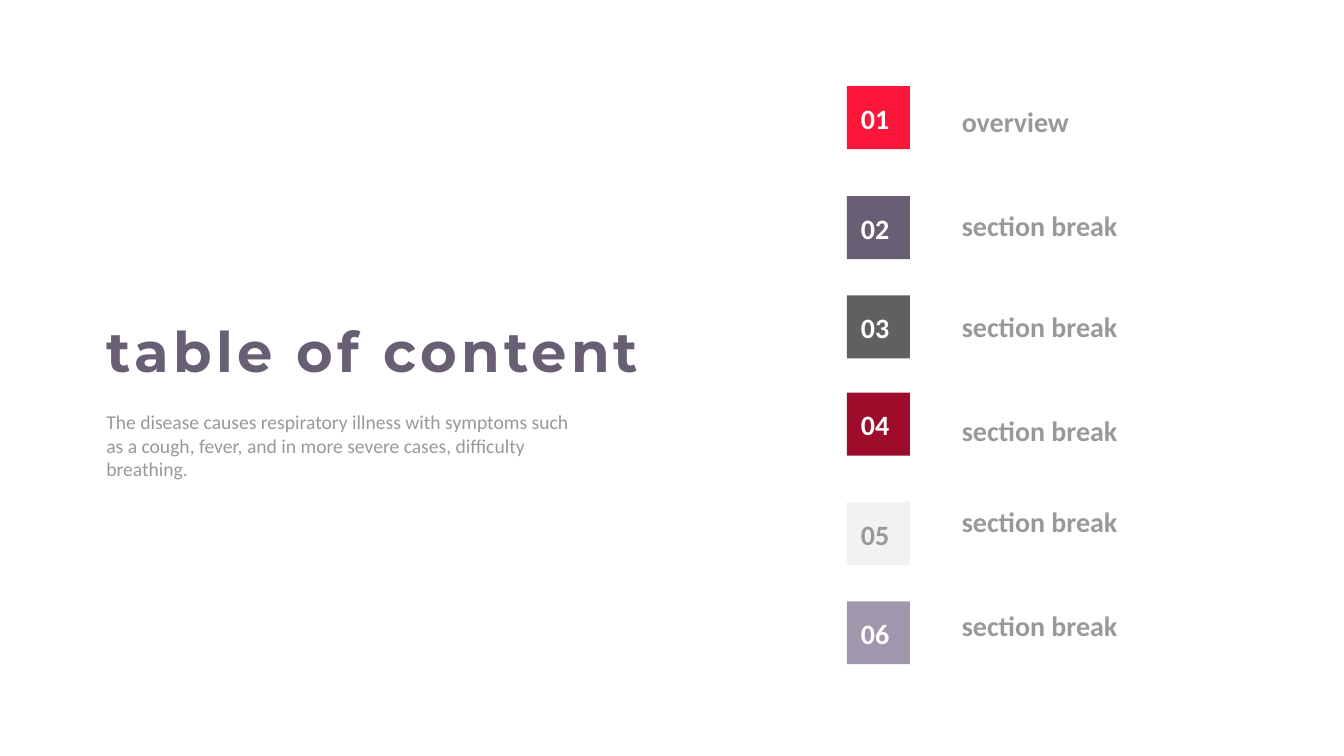
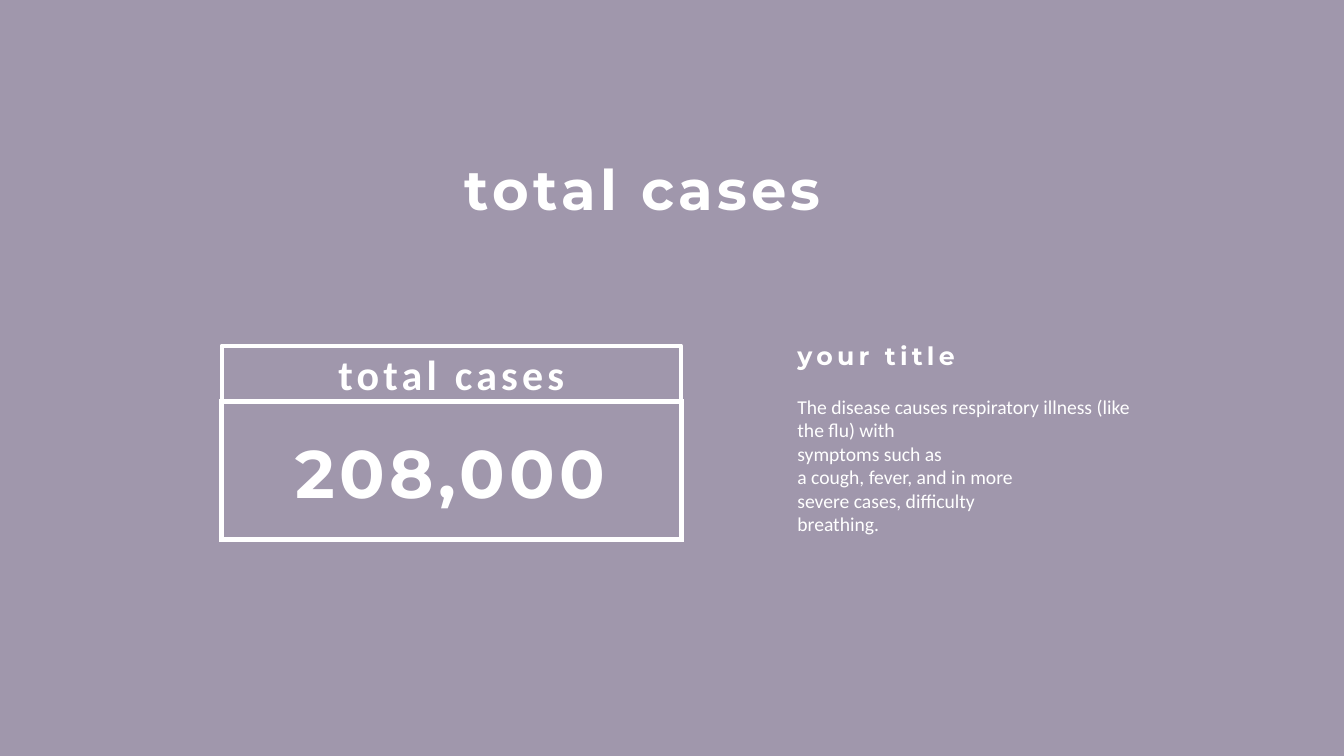
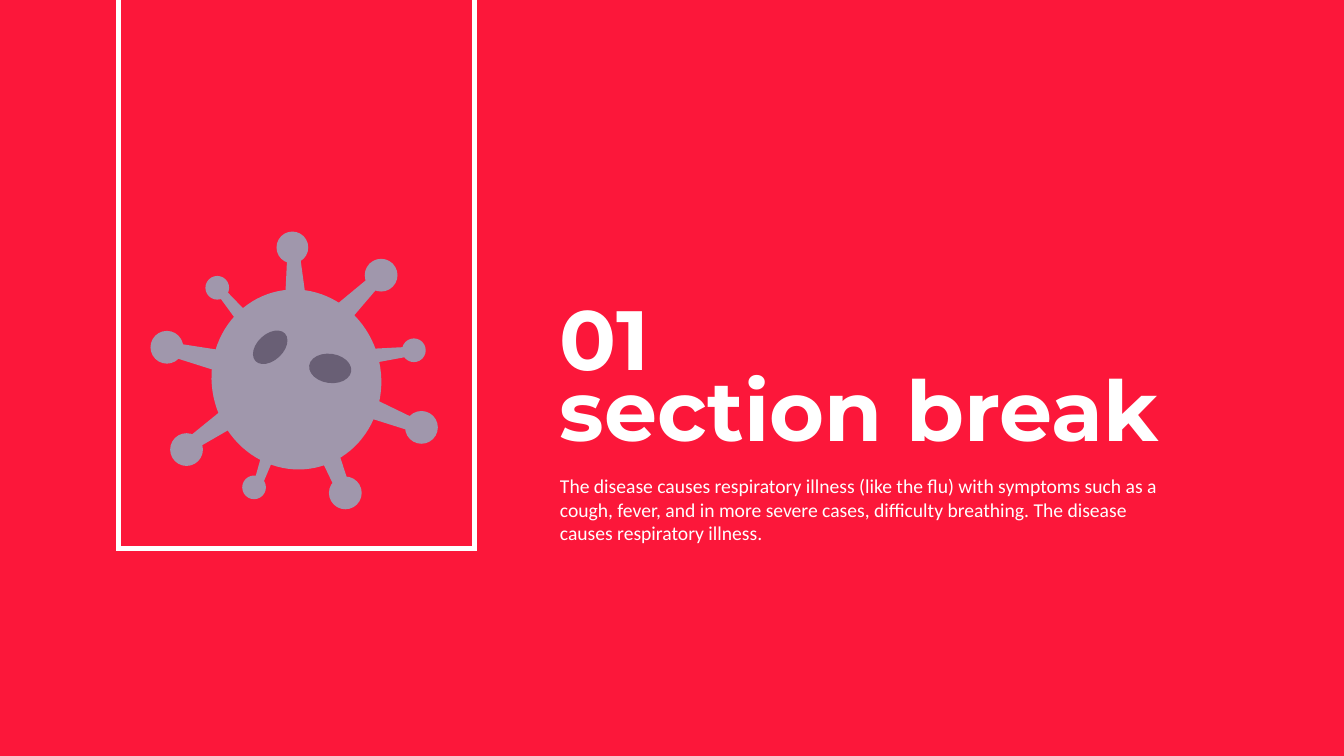
from dataclasses import dataclass

from lxml.etree import SubElement
from pptx import Presentation
from pptx.dml.color import RGBColor as Color
from pptx.enum.shapes import MSO_SHAPE as Preset
from pptx.enum.text import MSO_ANCHOR as Anchor, MSO_AUTO_SIZE as AutoSize, PP_ALIGN as Align
from pptx.oxml.ns import qn
from pptx.util import Inches, Pt


@dataclass(frozen=True)
class Theme:
    red: str = "FC173A"
    plum: str = "695F75"
    charcoal: str = "625F5F"
    crimson: str = "9D0C2B"
    pale: str = "F3F2F2"
    lilac: str = "A097AC"
    gray: str = "999999"
    white: str = "FFFFFF"
    heading: str = "Montserrat"
    body: str = "Calibri"
    tracking: int = 600


theme = Theme()
STYLES = {
    "title": {"name": theme.heading, "size": Pt(80), "bold": True},
    "section": {"name": theme.heading, "size": Pt(120), "bold": True},
    "figure": {"name": theme.heading, "size": Pt(96), "bold": True},
    "subtitle": {"name": theme.heading, "size": Pt(36), "bold": True},
    "caption": {"name": theme.body, "size": Pt(60), "bold": True},
    "label": {"name": theme.body, "size": Pt(40), "bold": True},
    "text": {"name": theme.body, "size": Pt(28), "bold": False},
}
TRACKED = {"title", "figure", "subtitle", "caption"}


def add_block(shapes, preset, box, fill=None, line_width=None, sharp=False):
    """Add a preset shape, filled or outlined in white, with sharp corners on request."""
    shape = shapes.add_shape(preset, *map(Inches, box))
    shape.shadow.inherit = False
    if fill:
        shape.fill.solid()
        shape.fill.fore_color.rgb = Color.from_string(fill)
    else:
        shape.fill.background()
    if line_width:
        shape.line.color.rgb = Color.from_string(theme.white)
        shape.line.width = Pt(line_width)
    else:
        shape.line.fill.background()
    if sharp:
        SubElement(shape._element.spPr.find(qn("a:ln")), qn("a:miter"), lim="800000")
    return shape


def add_text(slide, box, lines, style, color=theme.white, align=Align.LEFT, gaps=None, shape=None):
    """Write lines in a new text box, or in the given shape."""
    frame = (shape or slide.shapes.add_textbox(*map(Inches, box))).text_frame
    frame.word_wrap = True
    frame.auto_size = AutoSize.NONE if shape else AutoSize.SHAPE_TO_FIT_TEXT
    frame.vertical_anchor = Anchor.MIDDLE if shape else Anchor.TOP
    for index, line in enumerate(lines):
        paragraph = frame.paragraphs[0] if index == 0 else frame.add_paragraph()
        paragraph.alignment = align
        if gaps and index:
            paragraph.space_before = Pt(gaps[index - 1])
        run = paragraph.add_run()
        run.text = line
        for name, value in STYLES[style].items():
            setattr(run.font, name, value)
        run.font.color.rgb = Color.from_string(color)
        if style in TRACKED:
            run.font._element.set("spc", str(theme.tracking))


WIDTH, HEIGHT = 26.66, 15
presentation = Presentation()
presentation.slide_width, presentation.slide_height = Inches(WIDTH), Inches(HEIGHT)

# Three slides, the last two with a coloured panel
slides = []
for panel in (None, theme.lilac, theme.red):
    slide = presentation.slides.add_slide(presentation.slide_layouts[6])
    if panel:
        add_block(slide.shapes, Preset.RECTANGLE, (0, 0, WIDTH, HEIGHT), panel)
    slides.append(slide)
contents, cases, section = slides

# Contents: title, section names, numbered squares
add_text(contents, (2.01, 6.23, 11.36, 1.45), ["table of content"], "title", theme.plum)
add_text(contents, (18.98, 2.03, 6.79, 11.34), ["overview"] + ["section break"] * 5, "label",
         theme.gray, gaps=[99.5, 97.5, 99.5, 83, 99.5])
badges = [
    (1.71, theme.red, theme.white),
    (3.89, theme.plum, theme.white),
    (5.86, theme.charcoal, theme.white),
    (7.79, theme.crimson, theme.white),
    (9.96, theme.pale, theme.gray),
    (11.93, theme.lilac, theme.white),
]
BADGE = 1.25
for number, (top, fill, color) in enumerate(badges, 1):
    add_block(contents.shapes, Preset.RECTANGLE, (16.8, top, BADGE, BADGE), fill)
    add_text(contents, (16.98, top + 0.25, BADGE, BADGE), [f"{number:02}"], "label", color)
add_text(contents, (2.01, 8.09, 9.71, 1.51),
         ["The disease causes respiratory illness with symptoms such as a cough, fever, "
          "and in more severe cases, difficulty breathing."], "text", theme.gray)

# Total cases: framed figure and explanation
add_block(cases.shapes, Preset.RECTANGLE, (4.4, 7.96, 9.11, 2.75), line_width=7, sharp=True)
caption = add_block(cases.shapes, Preset.RECTANGLE, (4.4, 6.86, 9.11, 1.11), line_width=6)
add_text(cases, None, ["total cases"], "caption", align=Align.CENTER, shape=caption)
add_text(cases, (5.38, 8.51, 7.11, 1.72), ["208,000"], "figure", align=Align.CENTER)
add_text(cases, (15.72, 6.71, 4.19, 0.71), ["your title"], "subtitle")
add_text(cases, (6.55, 3.01, 12.41, 1.45), ["total cases"], "title", align=Align.CENTER)
add_text(cases, (15.72, 7.78, 6.83, 2.93),
         ["The disease causes respiratory illness (like the flu) with", "symptoms such as",
          "a cough, fever, and in more", "severe cases, difficulty", "breathing."], "text")

# Section break: frame and text
add_text(section, (11.01, 9.36, 12.16, 1.51),
         ["The disease causes respiratory illness (like the flu) with symptoms such as a cough, "
          "fever, and in more severe cases, difficulty breathing. The disease causes respiratory "
          "illness."], "text")
add_block(section.shapes, Preset.RECTANGLE, (2.35, -0.34, 7.06, 11.22), line_width=7, sharp=True)
add_text(section, (11.01, 5.64, 3.72, 2.12), ["01"], "section")
add_text(section, (11.01, 7.04, 14.42, 2.12), ["section break"], "section")

# Virus: spike stems
virus = section.shapes.add_group_shape().shapes
stems = [
    [(4.84, 7.02), (4.74, 7.5), (3.35, 7.06), (3.42, 6.8)],
    [(4.83, 7.79), (5.11, 8.2), (3.86, 8.92), (3.71, 8.7)],
    [(6.07, 8.49), (6.51, 8.34), (6.96, 9.72), (6.71, 9.82)],
    [(6.81, 8.13), (7, 7.71), (8.26, 8.32), (8.17, 8.56)],
    [(6.57, 6.79), (6.22, 6.42), (7.33, 5.5), (7.51, 5.69)],
    [(6.14, 6.45), (5.63, 6.48), (5.7, 5.03), (5.94, 4.99)],
    [(5.23, 6.54), (4.98, 6.75), (4.3, 5.82), (4.42, 5.7)],
    [(5.36, 8.41), (5.66, 8.54), (5.2, 9.63), (5.04, 9.56)],
    [(7.04, 7.27), (7.01, 6.94), (8.15, 6.88), (8.18, 7.06)],
]
for corners in stems:
    start, *others = [(Inches(x), Inches(y)) for x, y in corners]
    builder = virus.build_freeform(*start)
    builder.add_line_segments(others, close=True)
    stem = builder.convert_to_shape()
    stem.shadow.inherit = False
    stem.fill.solid()
    stem.fill.fore_color.rgb = Color.from_string(theme.lilac)
    stem.line.fill.background()

# Virus: spike tips, body and spots as centre, size, turn and colour
tips = [
    (3.31, 6.89, 0.65), (5.8, 4.91, 0.63), (7.56, 5.46, 0.65),
    (8.36, 8.48, 0.65), (6.85, 9.78, 0.65), (3.7, 8.92, 0.65),
    (4.31, 5.71, 0.47), (8.21, 6.95, 0.47), (5.04, 9.67, 0.47),
]
ovals = [(x, y, size, size, 0, theme.lilac) for x, y, size in tips] + [
    (5.88, 7.53, 3.36, 3.58, -12, theme.lilac),
    (5.36, 6.89, 0.8, 0.52, -43, theme.plum),
    (6.55, 7.31, 0.84, 0.58, 8, theme.plum),
]
for x, y, width, height, turn, fill in ovals:
    oval = add_block(virus, Preset.OVAL, (x - width / 2, y - height / 2, width, height), fill)
    oval.rotation = turn

presentation.save("out.pptx")
